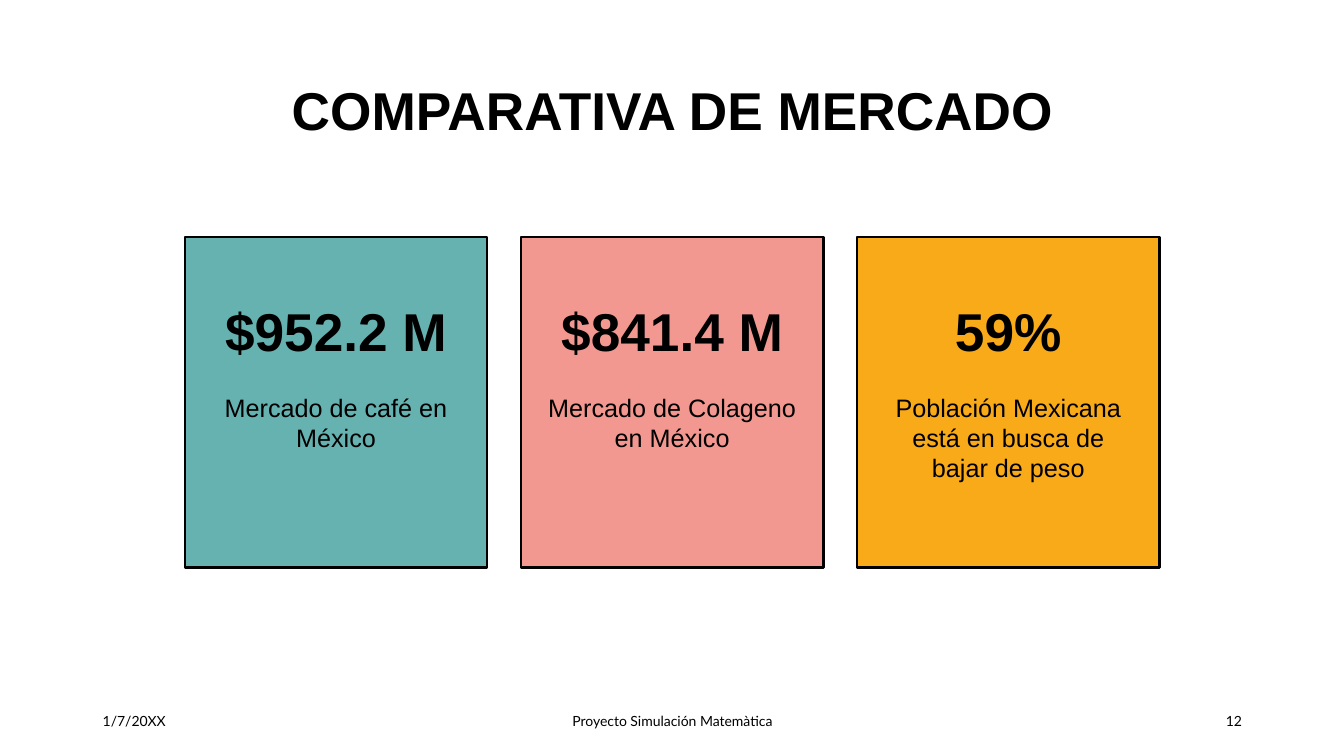
"""Build the market comparison slide with three headline cards."""
from dataclasses import dataclass

from pptx import Presentation
from pptx.dml.color import RGBColor
from pptx.enum import shapes, text
from pptx.util import Cm, Pt


@dataclass(frozen=True)
class Theme:
    ink: str = "000000"
    teal: str = "66B2B0"
    pink: str = "F39891"
    amber: str = "F9AA19"
    body_font: str = "Arial"
    footer_font: str = "Lato"
    headline: int = 38
    caption: int = 18
    footer: int = 10
    border: float = 1.75


THEME = Theme()
LEFT, CENTER, RIGHT = text.PP_ALIGN.LEFT, text.PP_ALIGN.CENTER, text.PP_ALIGN.RIGHT
TOP, MIDDLE = text.MSO_ANCHOR.TOP, text.MSO_ANCHOR.MIDDLE
HEADLINE = {"size": Pt(THEME.headline), "name": THEME.body_font, "bold": True}
CAPTION = {"size": Pt(THEME.caption), "name": THEME.body_font, "bold": False}
FOOTER = {"size": Pt(THEME.footer), "name": THEME.footer_font, "bold": False}

CARD_LEFT, CARD_TOP, CARD_WIDTH, CARD_HEIGHT = 4.66, 5.97, 7.62, 8.33
CARD_PITCH = 8.47
CARDS = [
    ("$952.2 M", "Mercado de café en México", THEME.teal, 6.35),
    ("$841.4 M", "Mercado de Colageno en México", THEME.pink, 6.93),
    ("59%", "Población Mexicana está en busca de bajar de peso", THEME.amber, 6.35),
]
FOOTERS = [
    ("1/7/20XX", 2.34, 7.62, LEFT),
    ("Proyecto Simulación Matemàtica", 11.23, 11.43, CENTER),
    ("12", 23.93, 7.62, RIGHT),
]


def apply(target, values):
    for key, value in values.items():
        setattr(target, key, value)


def write(shape, wording, font, align=CENTER, anchor=TOP, spacing=1.0, **frame_values):
    frame = shape.text_frame
    apply(frame, {"word_wrap": True, "auto_size": text.MSO_AUTO_SIZE.NONE,
                  "vertical_anchor": anchor, **frame_values})
    paragraph = frame.paragraphs[0]
    apply(paragraph, {"alignment": align, "line_spacing": spacing})
    run = paragraph.add_run()
    run.text = wording
    apply(run.font, font)
    run.font.color.rgb = RGBColor.from_string(THEME.ink)


def add_title(slide, wording):
    title = slide.shapes.title
    apply(title, {"left": Cm(2.34), "top": Cm(1.02), "width": Cm(29.21), "height": Cm(3.68)})
    write(title, wording, HEADLINE, anchor=MIDDLE, spacing=0.9)


def add_label(slide, wording, left, top, width, height, font, **layout):
    label = slide.shapes.add_textbox(Cm(left), Cm(top), Cm(width), Cm(height))
    write(label, wording, font, **layout)


def add_card(slide, left, figure, caption, color, caption_width):
    card = slide.shapes.add_shape(shapes.MSO_SHAPE.RECTANGLE, Cm(left), Cm(CARD_TOP),
                                  Cm(CARD_WIDTH), Cm(CARD_HEIGHT))
    card.shadow.inherit = False
    card.fill.solid()
    card.fill.fore_color.rgb = RGBColor.from_string(color)
    card.line.color.rgb = RGBColor.from_string(THEME.ink)
    card.line.width = Pt(THEME.border)
    write(card, figure, HEADLINE, spacing=0.9, margin_top=Cm(1.73),
          margin_left=0, margin_right=0, margin_bottom=0)
    caption_left = left + (CARD_WIDTH - caption_width) / 2
    add_label(slide, caption, caption_left, 9.75, caption_width, 2.2, CAPTION)


def main():
    deck = Presentation()
    apply(deck, {"slide_width": Cm(33.87), "slide_height": Cm(19.05)})
    slide = deck.slides.add_slide(deck.slide_layouts.get_by_name("Title Only"))
    add_title(slide, "COMPARATIVA DE MERCADO")
    for column, card in enumerate(CARDS):
        add_card(slide, CARD_LEFT + column * CARD_PITCH, *card)
    for wording, left, width, align in FOOTERS:
        add_label(slide, wording, left, 17.65, width, 1.02, FOOTER, align=align, anchor=MIDDLE)
    deck.save("out.pptx")


if __name__ == "__main__":
    main()
